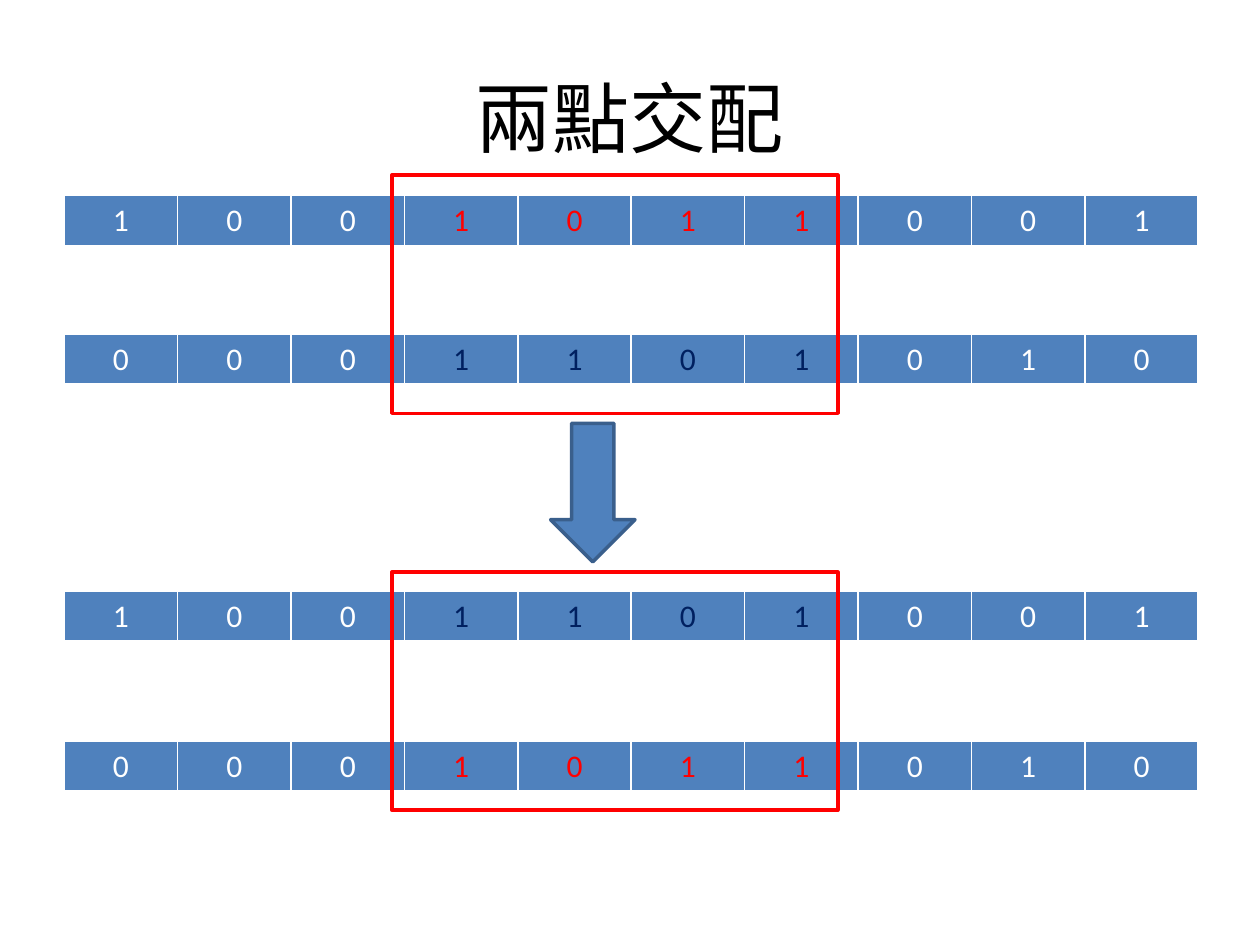
from lxml import etree
from pptx import Presentation
from pptx import util as u
from pptx.dml.color import RGBColor
from pptx.enum import shapes, text
from pptx.oxml import ns

PX = 9144
FONT = "Calibri"
BLACK = RGBColor(0x00, 0x00, 0x00)
WHITE = RGBColor(0xFF, 0xFF, 0xFF)
RED = RGBColor(0xFF, 0x00, 0x00)
NAVY = RGBColor(0x00, 0x20, 0x60)
BLUE = RGBColor(0x4F, 0x81, 0xBD)
STEEL = RGBColor(0x3A, 0x5F, 0x8C)
BORDERS = {"lnL": 1, "lnR": 1, "lnT": 1, "lnB": 3}
SWAPPED = range(3, 7)


def scaled(*lengths):
    """Turn px lengths into EMU."""
    return [u.Emu(length * PX) for length in lengths]


def add_span(para, words, size, color):
    """Add one centred run to a paragraph."""
    para.alignment = text.PP_ALIGN.CENTER
    span = para.add_run()
    span.text = words
    span.font.name = FONT
    span.font.size = u.Pt(size)
    span.font.bold = False
    span.font.color.rgb = color


def set_borders(cell):
    """Draw the white borders of a cell."""
    properties = cell._tc.get_or_add_tcPr()
    for index, (side, points) in enumerate(BORDERS.items()):
        line = etree.Element(ns.qn(f"a:{side}"), w=str(u.Pt(points)))
        fill = etree.SubElement(line, ns.qn("a:solidFill"))
        etree.SubElement(fill, ns.qn("a:srgbClr"), val=str(WHITE))
        properties.insert(index, line)


def add_title(page, box, words):
    """Place and fill the title placeholder."""
    title = page.shapes.title
    title.left, title.top, title.width, title.height = scaled(*box)
    title.text_frame.vertical_anchor = text.MSO_ANCHOR.MIDDLE
    add_span(title.text_frame.paragraphs[0], words, 44, BLACK)


def add_chromosome(page, box, genes, swap_color):
    """Draw one bit string as a one-row table."""
    table = page.shapes.add_table(1, len(genes), *scaled(*box)).table
    table.first_row = table.horz_banding = False
    for index, gene in enumerate(genes):
        cell = table.cell(0, index)
        cell.fill.solid()
        cell.fill.fore_color.rgb = BLUE
        set_borders(cell)
        color = swap_color if index in SWAPPED else WHITE
        add_span(cell.text_frame.paragraphs[0], gene, 18, color)


def add_outlined(page, kind, box, line_color, fill_color=None):
    """Draw a preset shape with a 2 pt outline."""
    shape = page.shapes.add_shape(kind, *scaled(*box))
    shape.shadow.inherit = False
    shape.line.color.rgb = line_color
    shape.line.width = u.Pt(2)
    if fill_color is None:
        shape.fill.background()
    else:
        shape.fill.solid()
        shape.fill.fore_color.rgb = fill_color


def add_pair(page, box, chromosomes):
    """Draw two bit strings with a frame around the swapped genes."""
    left, top, width, height = box
    for offset, genes, color in chromosomes:
        add_chromosome(page, (left, top + offset, width, 41), genes, color)
    frame = (left + 260, top, 354, height)
    add_outlined(page, shapes.MSO_SHAPE.RECTANGLE, frame, RED)


def main():
    """Build the two-point crossover slide."""
    deck = Presentation()
    deck.slide_width, deck.slide_height = scaled(1000, 750)
    page = deck.slides.add_slide(deck.slide_layouts[5])
    add_title(page, (50, 30, 900, 125), "兩點交配")
    add_pair(page, (51, 139, 900, 189),
             [(16, "1001011001", RED), (126, "0001101010", NAVY)])
    add_pair(page, (51, 454, 900, 189),
             [(15, "1001101001", NAVY), (134, "0001011010", RED)])
    add_outlined(page, shapes.MSO_SHAPE.DOWN_ARROW, (437, 336, 67, 110), STEEL, BLUE)
    deck.save("out.pptx")


if __name__ == "__main__":
    main()
